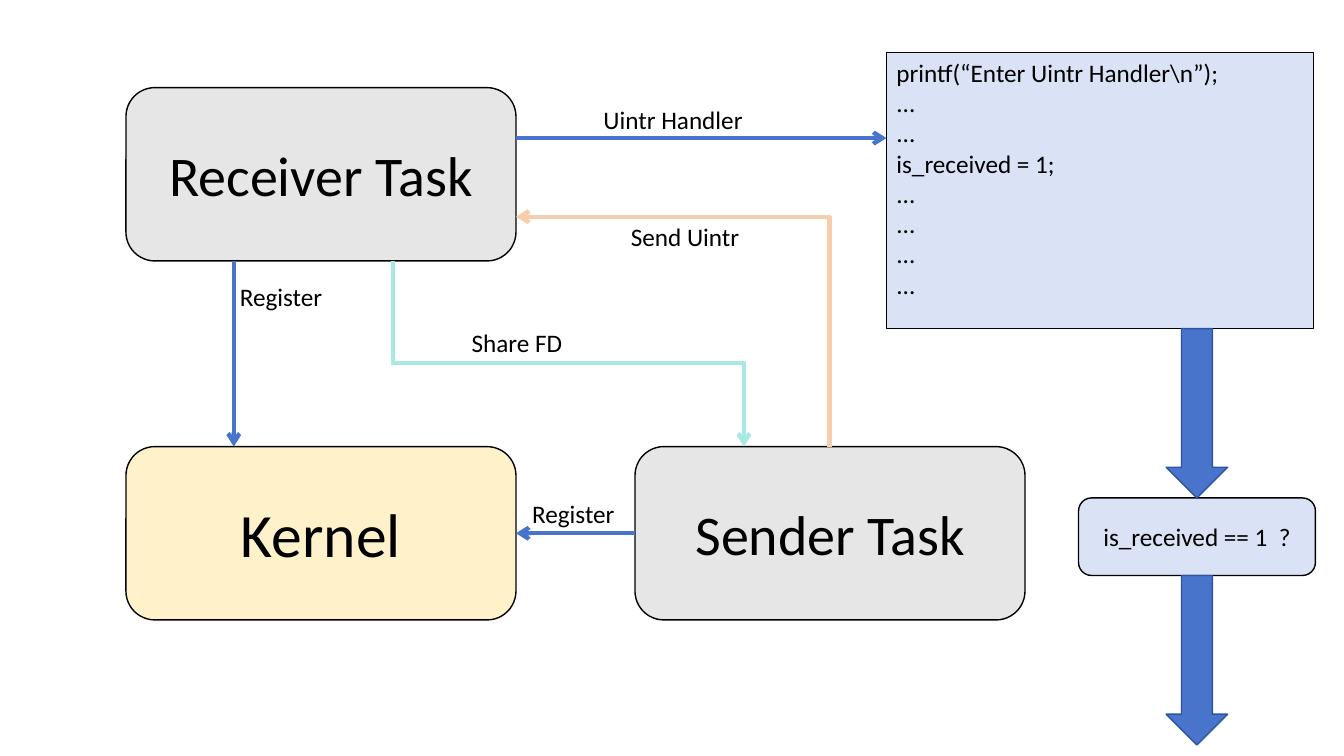
from lxml import etree
from pptx import Presentation
from pptx.dml.color import RGBColor
from pptx.enum import shapes, text
from pptx.oxml.ns import qn
from pptx.util import Pt

BLACK, BLUE, DARK_BLUE = "000000", "4874CB", "2E54A1"
GREY, CREAM, PALE_BLUE = "E7E6E6", "FFF2CA", "DAE3F5"
TEAL, PEACH = "A9E9E4", "F8CDAC"
SHAPE, ALIGN, ANCHOR = shapes.MSO_SHAPE, text.PP_ALIGN, text.MSO_ANCHOR


def color(value):
    return RGBColor.from_string(value)


def write(tf, content, size=18, align=ALIGN.LEFT, anchor=ANCHOR.TOP,
          font="Calibri", ink=BLACK):
    """Fill a text frame, one paragraph per line of content."""
    tf.word_wrap = True
    tf.vertical_anchor = anchor
    for i, line in enumerate(content.split("\n")):
        p = tf.add_paragraph() if i else tf.paragraphs[0]
        p.alignment = align
        r = p.add_run()
        r.text = line
        r.font.size, r.font.name = Pt(size), font
        r.font.color.rgb = color(ink)


class Diagram:
    """Holds the slide and the drawing style; lengths are in points."""

    def __init__(self, slide, outline=1, arrow_width=3):
        self.s = slide
        self.outline, self.arrow_width = outline, arrow_width

    def shape(self, kind, x, y, w, h, fill, line=BLACK):
        sp = self.s.shapes.add_shape(kind, Pt(x), Pt(y), Pt(w), Pt(h))
        sp.shadow.inherit = False
        sp.fill.solid()
        sp.fill.fore_color.rgb = color(fill)
        sp.line.color.rgb = color(line)
        sp.line.width = Pt(self.outline)
        return sp

    def box(self, x, y, w, h, fill, content, size):
        sp = self.shape(SHAPE.FLOWCHART_ALTERNATE_PROCESS, x, y, w, h, fill)
        write(sp.text_frame, content, size, ALIGN.CENTER, ANCHOR.MIDDLE)
        return sp

    def code(self, x, y, w, h, content):
        sp = self.shape(SHAPE.FLOWCHART_PROCESS, x, y, w, h, PALE_BLUE)
        write(sp.text_frame, content)

    def label(self, x, y, w, content):
        sp = self.s.shapes.add_textbox(Pt(x), Pt(y), Pt(w), Pt(29))
        write(sp.text_frame, content)

    def connector(self, x1, y1, x2, y2, ink, arrow="tailEnd", elbow=False):
        """Draw a line; an elbow runs across first, then down."""
        kind = shapes.MSO_CONNECTOR.ELBOW if elbow else shapes.MSO_CONNECTOR.STRAIGHT
        c = self.s.shapes.add_connector(kind, Pt(x1), Pt(y1), Pt(x2), Pt(y2))
        c.line.color.rgb = color(ink)
        c.line.width = Pt(self.arrow_width)
        props = c._element.spPr
        if elbow:
            guides = props.find(qn("a:prstGeom")).get_or_add_avLst()
            etree.SubElement(guides, qn("a:gd"), name="adj1", fmla="val 100000")
        if arrow:
            etree.SubElement(props.find(qn("a:ln")), qn("a:" + arrow), type="arrow")
        etree.SubElement(props, qn("a:effectLst"))
        return c


def main():
    prs = Presentation()
    prs.slide_width, prs.slide_height = Pt(960), Pt(540)
    d = Diagram(prs.slides.add_slide(prs.slide_layouts[6]))

    # Tasks and kernel
    left, right, top, bottom = 90, 453.6, 62.6, 319
    w, h = 278.6, 123.8
    d.box(left, top, w, h, GREY, "Receiver Task", 40)
    sender = d.box(right, bottom, w, h, GREY, "Sender Task", 40)
    kernel = d.box(left, bottom, w, h, CREAM, "Kernel", 44)

    # Handler code
    code_x, code_y, code_w, code_h = 633.2, 37.4, 305, 197.3
    d.code(code_x, code_y, code_w, code_h,
           "printf(“Enter Uintr Handler\\n”);\n...\n...\n"
           "is_received = 1;\n...\n...\n...\n...")

    # Registration with the kernel
    d.connector(167, top + h, 167, bottom, BLUE)
    d.label(164.2, 197.3, 75.6, "Register")
    link = d.connector(right, bottom + h / 2, left + w, bottom + h / 2, BLUE)
    link.begin_connect(sender, 1)
    link.end_connect(kernel, 3)
    d.label(373, 352.1, 75.6, "Register")

    # File descriptor passed from receiver to sender
    share_x, share_y = 280.5, 259.2
    d.connector(share_x, top + h, share_x, share_y + 1.5, TEAL, arrow=None)
    d.connector(share_x, share_y, 531.4, bottom, TEAL, elbow=True)
    d.label(329.8, 230.4, 80, "Share FD")

    # Interrupt sent back to the receiver
    d.connector(left + w, 154.8, 592.6, bottom, PEACH, arrow="headEnd", elbow=True)
    d.label(443.5, 154.8, 98, "Send Uintr")

    # Receiver to handler code
    d.connector(left + w, 98.6, code_x, 98.6, BLUE)
    d.label(424, 70.6, 117.4, "Uintr Handler")

    # Check, with a block arrow before and after it
    check_y, check_h = 355.7, 55.4
    d.box(770.4, check_y, 169.2, check_h, PALE_BLUE, "is_received == 1  ?", 18)
    for y in (code_y + code_h, check_y + check_h):
        d.shape(SHAPE.DOWN_ARROW, 833, y, 44, 121, BLUE, DARK_BLUE)

    prs.save("out.pptx")


if __name__ == "__main__":
    main()
